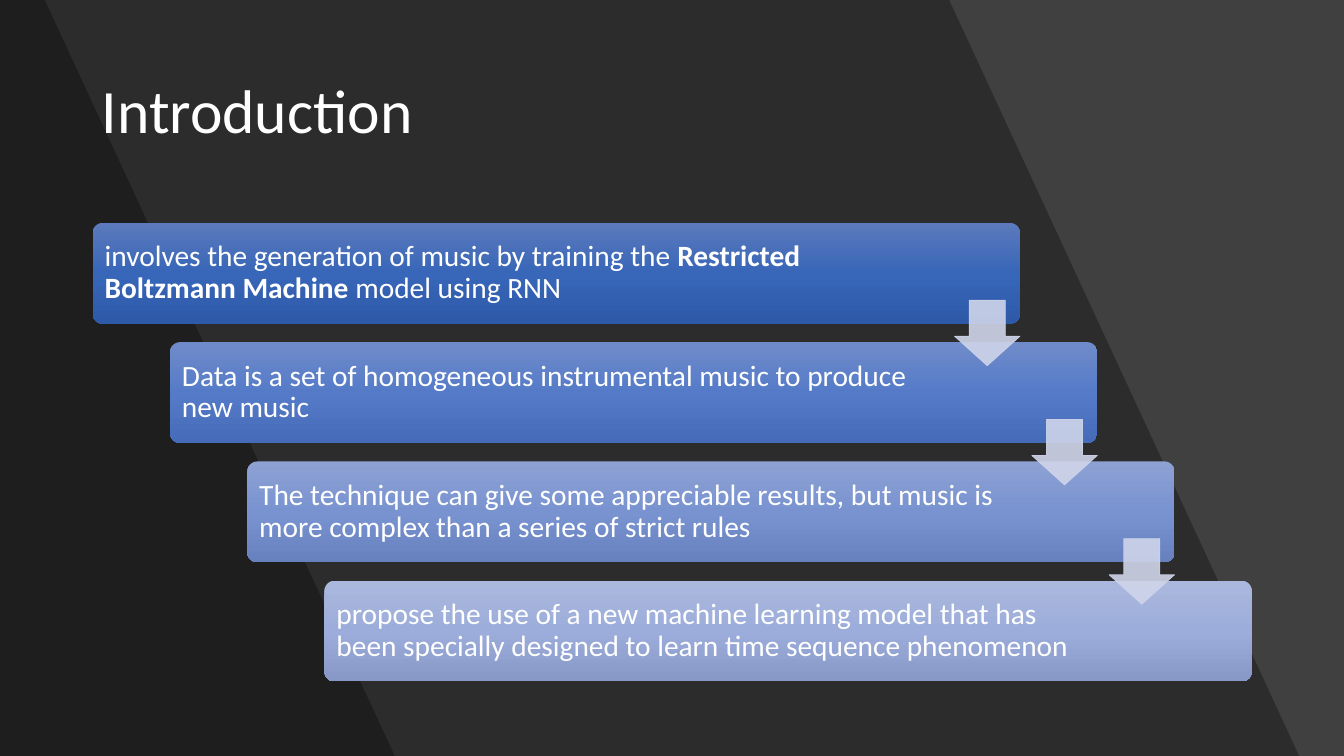
from lxml import etree
from pptx import Presentation
from pptx.dml.color import RGBColor
from pptx.enum import shapes, text
from pptx.oxml import ns
from pptx.util import Pt

COLORS = {"ground": "404040", "shade": "000000", "text": "FFFFFF", "arrow": "CFD5EA"}
FONT = "Calibri"
WIDTH, HEIGHT = 960, 540
CARD_W, CARD_H = 662.4, 72
STEP_X, STEP_Y = 55.2, 85.2
ARROW = 46.8
ARROW_DROP = 55.2  # from a card's top to its arrow's top

# gradient from top to bottom, right inset, runs as (text, bold)
CARDS = [
    (("5C7ABD", "3866B8", "2D59A8"), 86,
     [("involves the generation of music by training the ", False),
      ("Restricted Boltzmann Machine", True),
      (" model using RNN", False)]),
    (("708BCA", "557BC8", "466BB8"), 109,
     [("Data is a set of homogeneous instrumental music to produce new music", False)]),
    (("8DA1D3", "7993D1", "6781BE"), 109,
     [("The technique can give some appreciable results, but music is more complex "
       "than a series of strict rules", False)]),
    (("ABB8DD", "9CADDB", "8798C6"), 109,
     [("propose the use of a new machine learning model that has been specially "
       "designed to learn time sequence phenomenon", False)]),
]


def add_text(p, content, size, bold=False, color=COLORS["text"]):
    r = p.add_run()
    r.text = content
    r.font.name = FONT
    r.font.size = Pt(size)
    r.font.bold = bold
    r.font.color.rgb = RGBColor.from_string(color)


def paint(fill, color, opacity=100):
    fill.solid()
    fill.fore_color.rgb = RGBColor.from_string(color)
    if opacity < 100:
        for clr in fill._xPr.iterchildren(ns.qn("a:solidFill")):
            etree.SubElement(clr[0], ns.qn("a:alpha"), val=str(opacity * 1000))


def paint_gradient(sp, colors):
    """Spread the colours evenly from top to bottom."""
    sp.fill.gradient()
    grad = sp.fill._xPr.find(ns.qn("a:gradFill"))
    for child in list(grad):
        grad.remove(child)
    stops = etree.SubElement(grad, ns.qn("a:gsLst"))
    for i, color in enumerate(colors):
        pos = str(100000 * i // (len(colors) - 1))
        stop = etree.SubElement(stops, ns.qn("a:gs"), pos=pos)
        etree.SubElement(stop, ns.qn("a:srgbClr"), val=color)
    etree.SubElement(grad, ns.qn("a:lin"), ang="5400000", scaled="0")


def add_background(s):
    paint(s.background.fill, COLORS["ground"])
    for top_x, bottom_x in ((678.24, 928.08), (31.68, 282.24)):
        fb = s.shapes.build_freeform(0, 0, scale=Pt(1))
        fb.add_line_segments([(top_x, 0), (bottom_x, HEIGHT), (0, HEIGHT)])
        band = fb.convert_to_shape()
        band.shadow.inherit = False
        paint(band.fill, COLORS["shade"], 30)
        band.line.fill.background()


def add_title(s, content, x, y, w, h):
    title = s.shapes.title
    title.left, title.top, title.width, title.height = Pt(x), Pt(y), Pt(w), Pt(h)
    s.shapes._spTree.append(title._element)  # in front of the bands
    tf = title.text_frame
    tf.auto_size = text.MSO_AUTO_SIZE.NONE
    tf.vertical_anchor = text.MSO_ANCHOR.MIDDLE
    p = tf.paragraphs[0]
    p.alignment = text.PP_ALIGN.LEFT
    p.line_spacing = 0.9
    add_text(p, content, 44)


def add_card(s, x, y, colors, right_inset, runs):
    card = s.shapes.add_shape(shapes.MSO_SHAPE.ROUNDED_RECTANGLE,
                              Pt(x), Pt(y), Pt(CARD_W), Pt(CARD_H))
    card.adjustments[0] = 0.1
    card.shadow.inherit = False
    card.line.fill.background()
    paint_gradient(card, colors)
    tf = card.text_frame
    tf.word_wrap = True
    tf.vertical_anchor = text.MSO_ANCHOR.MIDDLE
    tf.margin_left, tf.margin_right = Pt(6.5), Pt(right_inset)
    tf.margin_top = tf.margin_bottom = Pt(6.5)
    p = tf.paragraphs[0]
    p.alignment = text.PP_ALIGN.LEFT
    p.line_spacing = 0.9
    for content, bold in runs:
        add_text(p, content, 21, bold=bold)


def add_arrow(s, x, y):
    arrow = s.shapes.add_shape(shapes.MSO_SHAPE.DOWN_ARROW,
                               Pt(x), Pt(y), Pt(ARROW), Pt(ARROW))
    arrow.adjustments[0] = 0.45
    arrow.adjustments[1] = 0.55
    # the shaft is 55% of the width, the head 45% of the height
    arrow.adjustments[0], arrow.adjustments[1] = 0.55, 0.45
    arrow.shadow.inherit = False
    paint(arrow.fill, COLORS["arrow"], 90)
    arrow.line.width = Pt(0.5)
    paint(arrow.line.fill, COLORS["arrow"], 90)


def add_staircase(s, x, y):
    corners = [(x + i * STEP_X, y + i * STEP_Y) for i in range(len(CARDS))]
    for (left, top), card in zip(corners, CARDS):
        add_card(s, left, top, *card)
    for left, top in corners[:-1]:
        add_arrow(s, left + CARD_W - ARROW, top + ARROW_DROP)


def main():
    prs = Presentation()
    prs.slide_width, prs.slide_height = Pt(WIDTH), Pt(HEIGHT)
    s = prs.slides.add_slide(prs.slide_layouts[5])
    add_background(s)
    add_title(s, "Introduction", 65.5, 28.8, 828.7, 104.4)
    add_staircase(s, 66.2, 159.2)
    prs.save("out.pptx")


if __name__ == "__main__":
    main()
